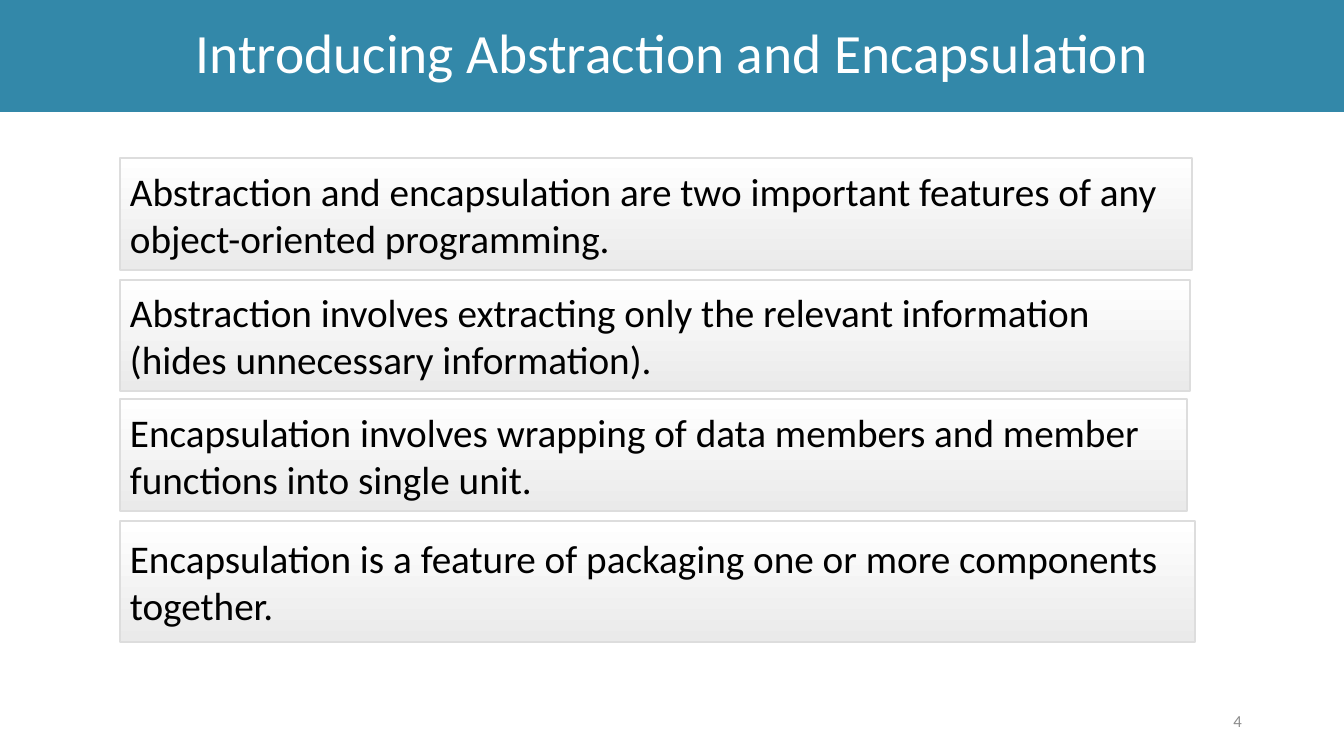
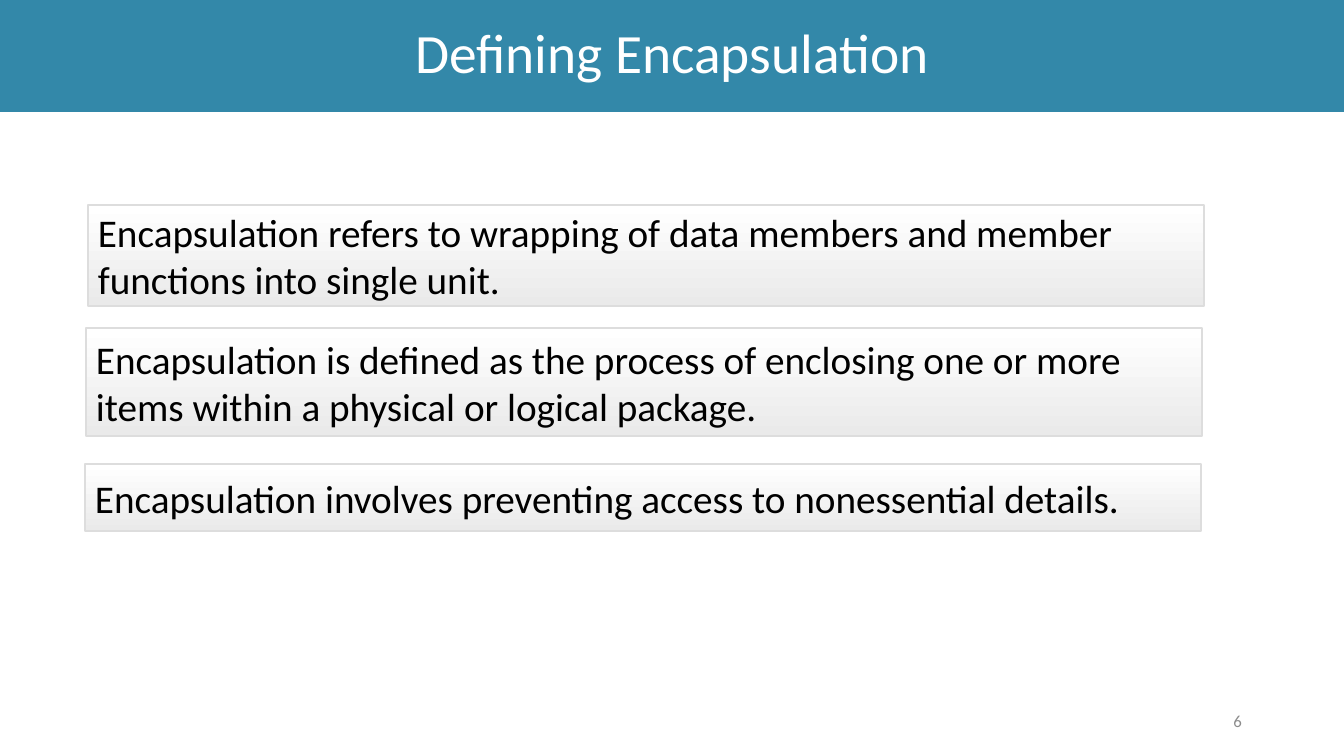
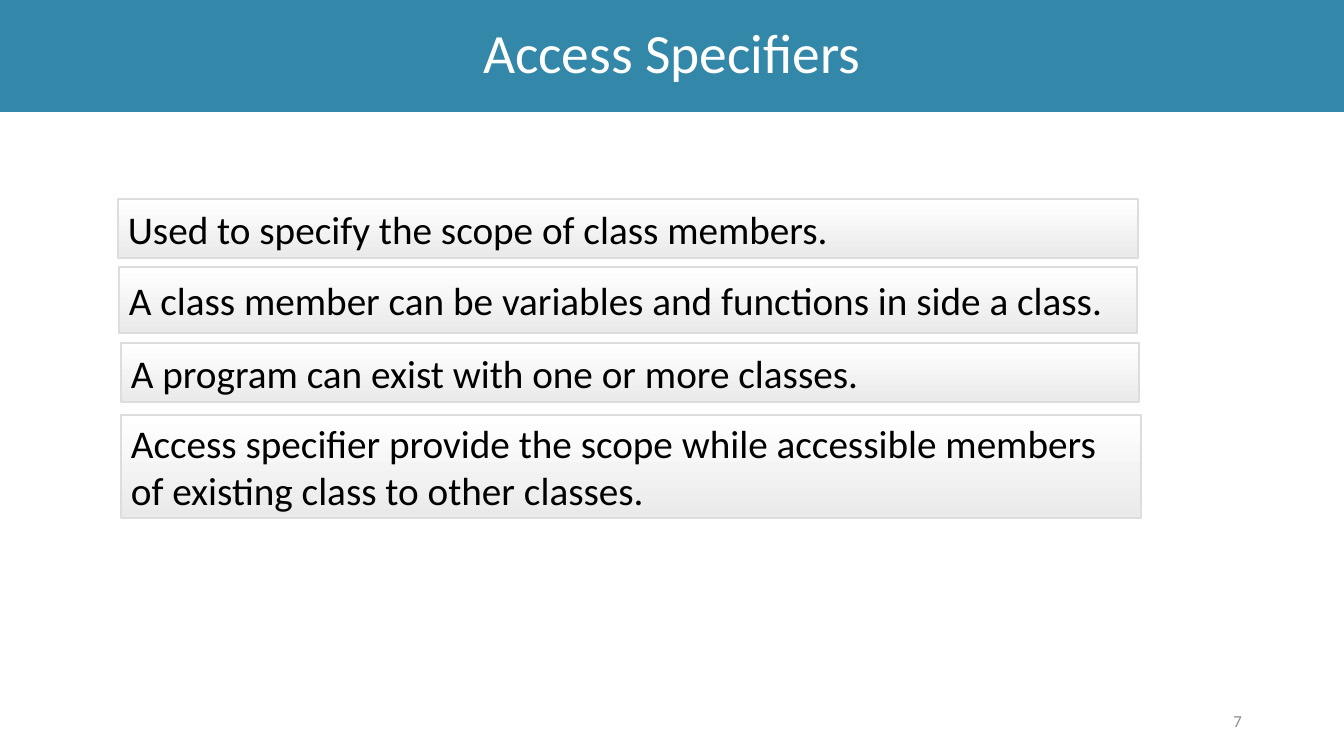
import pptx
import pptx.util
from pptx.dml.color import RGBColor
from pptx.enum.shapes import MSO_SHAPE
from pptx.enum.text import MSO_ANCHOR, MSO_AUTO_SIZE, PP_ALIGN

SLIDES = [
    {
        "title": "Introducing Abstraction and Encapsulation",
        "number": "4",
        "boxes": [
            (120, 158, 1072, 112, "Abstraction and encapsulation are two important features of any object-oriented programming."),
            (120, 280, 1070, 111, "Abstraction involves extracting only the relevant information (hides unnecessary information)."),
            (120, 399, 1067, 112, "Encapsulation involves wrapping of data members and member functions into single unit."),
            (120, 521, 1075, 121, "Encapsulation is a feature of packaging one or more components together."),
        ],
    },
    {
        "title": "Defining Encapsulation",
        "number": "6",
        "boxes": [
            (88, 205, 1116, 101, "Encapsulation refers to wrapping of data members and member functions into single unit."),
            (86, 328, 1116, 108, "Encapsulation is defined as the process of enclosing one or more items within a physical or logical package."),
            (85, 464, 1116, 67, "Encapsulation involves preventing access to nonessential details."),
        ],
    },
    {
        "title": "Access Specifiers",
        "number": "7",
        "boxes": [
            (118, 199, 1020, 59, "Used to specify the scope of class members."),
            (119, 267, 1018, 66, "A class member can be variables and functions in side a class."),
            (121, 343, 1018, 59, "A program can exist with one or more classes."),
            (121, 415, 1020, 103, "Access specifier provide the scope while accessible members of existing class to other classes."),
        ],
    },
]

THEME = {
    "font": "Calibri",
    "band": "3388A9",
    "box_top": "FFFFFF",
    "box_bottom": "EAEAEA",
    "box_line": "DDDDDD",
    "title": (39.6, "FFFFFF"),
    "body": (28, "000000"),
    "number": (12, "8C8C8C"),
}

SLIDE_SIZE = (1344, 756)
BAND = (0, 0, 1344, 112)
NUMBER = (950, 701, 302, 40)
EMU_PER_PX = 914400 / 100.8


def px(*lengths):
    return [pptx.util.Emu(round(length * EMU_PER_PX)) for length in lengths]


def color(name):
    return RGBColor.from_string(THEME[name])


def write(shape, text, style, alignment):
    size, rgb = THEME[style]
    text_frame = shape.text_frame
    text_frame.text = text
    text_frame.word_wrap = True
    text_frame.auto_size = MSO_AUTO_SIZE.NONE
    text_frame.vertical_anchor = MSO_ANCHOR.MIDDLE
    paragraph = text_frame.paragraphs[0]
    paragraph.alignment = alignment
    font = paragraph.runs[0].font
    font.name = THEME["font"]
    font.size = pptx.util.Pt(size)
    font.color.rgb = RGBColor.from_string(rgb)
    return paragraph


def add_title(slide, text):
    title = slide.shapes.title
    title.left, title.top, title.width, title.height = px(*BAND)
    title.fill.solid()
    title.fill.fore_color.rgb = color("band")
    write(title, text, "title", PP_ALIGN.CENTER).line_spacing = 0.9


def add_number(slide, text):
    write(slide.shapes.add_textbox(*px(*NUMBER)), text, "number", PP_ALIGN.RIGHT)


def add_box(slide, left, top, width, height, text):
    box = slide.shapes.add_shape(MSO_SHAPE.RECTANGLE, *px(left, top, width, height))
    box.shadow.inherit = False
    box.fill.gradient()
    box.fill.gradient_angle = 270
    for stop, position, name in zip(box.fill.gradient_stops, (0, 1), ("box_top", "box_bottom")):
        stop.position = position
        stop.color.rgb = color(name)
    box.line.color.rgb = color("box_line")
    box.line.width = pptx.util.Pt(1)
    write(box, text, "body", PP_ALIGN.LEFT)


def main():
    presentation = pptx.Presentation()
    presentation.slide_width, presentation.slide_height = px(*SLIDE_SIZE)
    title_only = presentation.slide_layouts.get_by_name("Title Only")
    for content in SLIDES:
        slide = presentation.slides.add_slide(title_only)
        add_title(slide, content["title"])
        add_number(slide, content["number"])
        for box in content["boxes"]:
            add_box(slide, *box)
    presentation.save("out.pptx")


if __name__ == "__main__":
    main()
